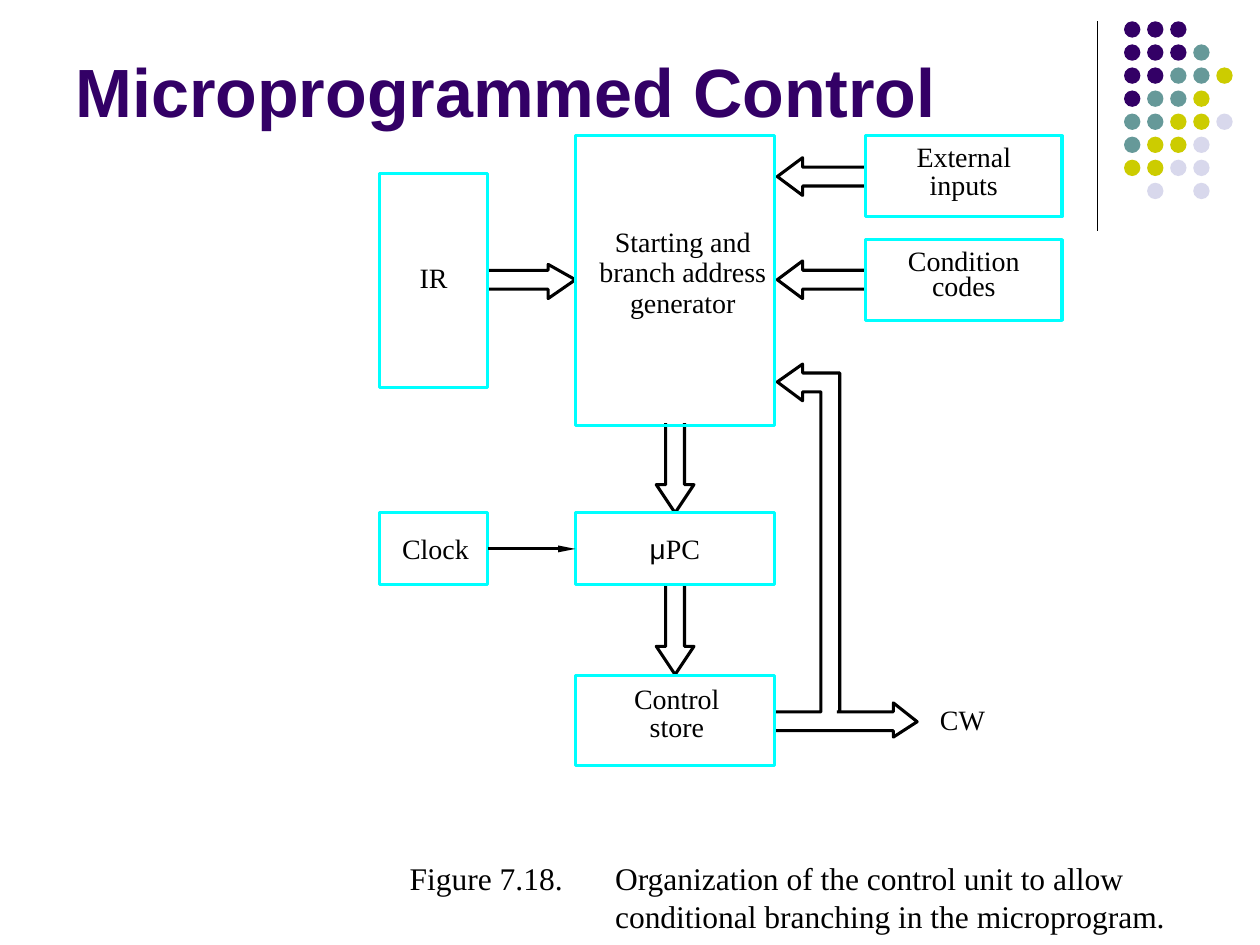
from lxml.etree import SubElement
from pptx import Presentation
from pptx.dml.color import RGBColor
from pptx.enum.shapes import MSO_CONNECTOR, MSO_SHAPE
from pptx.enum.text import MSO_ANCHOR, PP_ALIGN
from pptx.oxml.ns import qn
from pptx.util import Cm, Pt

COLORS = {
    "purple": "330066", "teal": "669999", "olive": "CCCC00", "lilac": "D8D8EC",
    "cyan": "00FFFF", "black": "000000", "white": "FFFFFF",
}
RGB = {name: RGBColor.from_string(value) for name, value in COLORS.items()}
SERIF = "Times New Roman"


def draw_outline(points):
    """Draw an open, unfilled black line through points given in centimetres."""
    corners = [(Cm(x), Cm(y)) for x, y in points]
    builder = page.shapes.build_freeform(*corners[0], scale=1.0)
    builder.add_line_segments(corners[1:], close=False)
    outline = builder.convert_to_shape()
    outline.shadow.inherit = False
    outline.fill.background()
    outline.line.color.rgb = RGB["black"]
    outline.line.width = Pt(1.75)


def write_lines(frame, lines, size=16, spacing=None, font=SERIF, color="black"):
    frame.text = "\n".join(lines)
    for para in frame.paragraphs:
        if spacing:
            para.line_spacing = Pt(spacing)
        for span in para.runs:
            span.font.name = font
            span.font.size = Pt(size)
            span.font.color.rgb = RGB[color]


deck = Presentation()
deck.slide_width, deck.slide_height = Cm(25.4), Cm(19.05)
page = deck.slides.add_slide(deck.slide_layouts[6])

# Corner decoration: a divider and a grid of dots
divider = page.shapes.add_connector(
    MSO_CONNECTOR.STRAIGHT, Cm(22.12), Cm(0.43), Cm(22.12), Cm(4.65))
divider.line.width = Pt(0.75)

dot_colors = {"P": "purple", "T": "teal", "O": "olive", "L": "lilac"}
dot_rows = ["PPP", "PPPT", "PPTTO", "PTTO", "TTOOL", "TOOL", "OOLL", "-L-L"]
for row, letters in enumerate(dot_rows):
    for column, letter in enumerate(letters):
        if letter == "-":
            continue
        dot = page.shapes.add_shape(
            MSO_SHAPE.OVAL, Cm(22.66 + 0.465 * column), Cm(0.43 + 0.465 * row),
            Cm(0.33), Cm(0.33))
        dot.shadow.inherit = False
        dot.fill.solid()
        dot.fill.fore_color.rgb = RGB[dot_colors[letter]]
        dot.line.fill.background()

# Title
title = page.shapes.add_textbox(Cm(1.27), Cm(-0.84), Cm(20.96), Cm(3.61))
title.text_frame.word_wrap = True
title.text_frame.vertical_anchor = MSO_ANCHOR.BOTTOM
write_lines(title.text_frame, ["Microprogrammed Control"], 39, font="Arial", color="purple")
title.text_frame.paragraphs[0].runs[0].font.bold = True

# Block arrows: half widths of shaft and head
shaft, head = 0.19, 0.38
for y in (3.56, 5.64):  # external inputs and condition codes to generator
    draw_outline([(17.45, y + shaft), (16.18, y + shaft), (16.18, y + head), (15.67, y),
                  (16.18, y - head), (16.18, y - shaft), (17.45, y - shaft)])
for top in (8.53, 11.79):  # generator to counter, counter to store
    x, base = 13.61, top + 1.24
    draw_outline([(x + shaft, top), (x + shaft, base), (x + head, base), (x, top + 1.81),
                  (x - head, base), (x - shaft, base), (x - shaft, top)])
# IR to generator
draw_outline([(9.78, 5.83), (11.05, 5.83), (11.05, 6.02), (11.6, 5.64),
              (11.05, 5.33), (11.05, 5.45), (9.78, 5.45)])
# Control store back to generator
draw_outline([(16.93, 14.35), (16.93, 7.52), (16.18, 7.52), (16.18, 7.34), (15.67, 7.7),
              (16.18, 8.08), (16.18, 7.9), (16.55, 7.9), (16.55, 14.35), (15.62, 14.35)])
# Control store to control word
draw_outline([(15.62, 14.73), (18.01, 14.73), (18.01, 14.86), (18.49, 14.55),
              (18.01, 14.17), (18.01, 14.35), (16.87, 14.35)])

# Boxes: lines, left, top, width, height, left inset, top inset, line spacing, filled
blocks = [
    (["Control", "store"], 11.6, 13.61, 4.01, 1.83, 0.08, 0.25, 16, False),
    (["Condition", "codes"], 17.45, 4.83, 3.96, 1.63, 0, 0.24, 14.5, False),
    (["Clock"], 7.65, 10.34, 2.18, 1.45, 0.08, 0.38, None, False),
    (["Starting and", "branch address", "generator"],
     11.6, 2.74, 4.01, 5.84, 0.32, 1.83, 17.7, False),
    (["External", "inputs"], 17.45, 2.74, 3.96, 1.63, 0, 0.19, 16, False),
    (["IR"], 7.65, 3.5, 2.18, 4.32, 0, 1.75, None, True),
    (["μ"], 11.6, 10.34, 4.01, 1.45, 0, 0.38, None, True),
]
boxes = {}
for lines, left, top, width, height, inset_left, inset_top, spacing, filled in blocks:
    box = page.shapes.add_shape(
        MSO_SHAPE.RECTANGLE, Cm(left), Cm(top), Cm(width), Cm(height))
    box.shadow.inherit = False
    if filled:
        box.fill.solid()
        box.fill.fore_color.rgb = RGB["white"]
    else:
        box.fill.background()
    box.line.color.rgb = RGB["cyan"]
    box.line.width = Pt(1.75)
    frame = box.text_frame
    frame.vertical_anchor = MSO_ANCHOR.TOP
    frame.margin_left, frame.margin_top = Cm(inset_left), Cm(inset_top)
    frame.margin_right = frame.margin_bottom = 0
    write_lines(frame, lines, spacing=spacing)
    for para in frame.paragraphs:
        para.alignment = PP_ALIGN.CENTER
    boxes[lines[0]] = box

counter_para = boxes["μ"].text_frame.paragraphs[0]
counter_para.runs[0].font.name = "Arial"
letters = counter_para.add_run()
letters.text = "PC"
letters.font.name = SERIF
letters.font.size = Pt(16)
letters.font.color.rgb = RGB["black"]

# Clock signal
clock_arrow = page.shapes.add_connector(
    MSO_CONNECTOR.STRAIGHT, Cm(9.83), Cm(11.07), Cm(11.6), Cm(11.07))
clock_arrow.begin_connect(boxes["Clock"], 3)
clock_arrow.end_connect(boxes["μ"], 1)
clock_arrow.line.width = Pt(1.75)
for connector in (divider, clock_arrow):
    connector.line.color.rgb = RGB["black"]
    SubElement(connector._element.spPr, qn("a:effectLst"))
SubElement(clock_arrow.line._get_or_add_ln(), qn("a:tailEnd"), type="triangle", w="sm", len="lg")

# Control word label and caption
label = page.shapes.add_textbox(Cm(18.95), Cm(14.17), Cm(0.91), Cm(0.69))
write_lines(label.text_frame, ["CW"])
caption = page.shapes.add_textbox(Cm(8.26), Cm(17.32), Cm(15.24), Cm(1.52))
write_lines(caption.text_frame, [
    "Figure 7.18.\tOrganization of the control unit to allow",
    "\tconditional branching in the microprogram.",
], 18, 21.7)
for box in (label, caption):
    frame = box.text_frame
    frame.word_wrap = False
    frame.margin_left = frame.margin_top = frame.margin_right = frame.margin_bottom = 0
for para in caption.text_frame.paragraphs:
    tabs = SubElement(para._p.get_or_add_pPr(), qn("a:tabLst"))
    SubElement(tabs, qn("a:tab"), pos=str(Cm(4.14)), algn="l")

deck.save("out.pptx")
